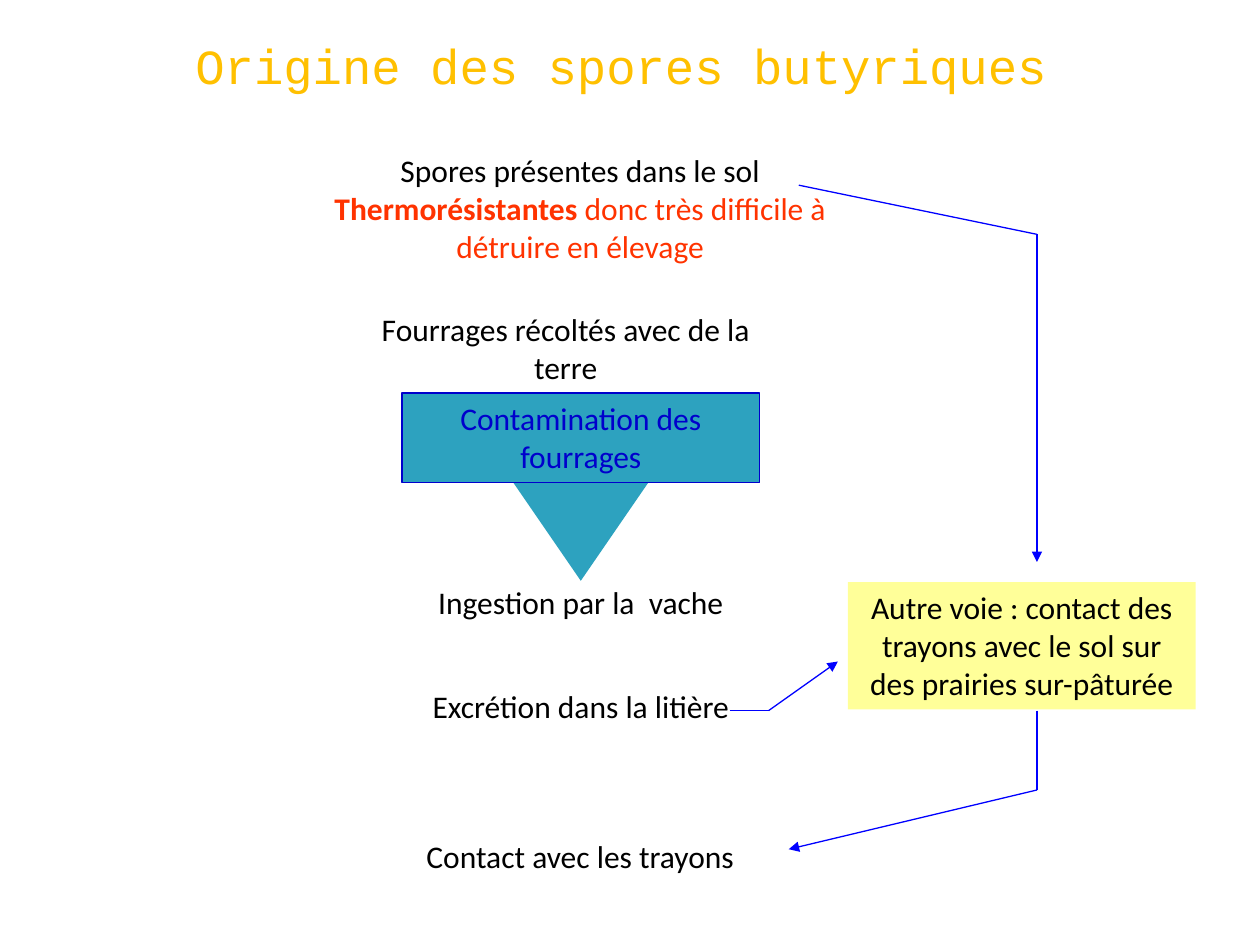
from lxml.etree import SubElement
from pptx import Presentation
from pptx.dml.color import RGBColor
from pptx.enum.shapes import MSO_CONNECTOR, MSO_SHAPE
from pptx.enum.text import MSO_ANCHOR, MSO_AUTO_SIZE, PP_ALIGN
from pptx.oxml.ns import qn
from pptx.util import Inches, Pt

BLACK = RGBColor(0x00, 0x00, 0x00)
GOLD = RGBColor(0xFF, 0xC0, 0x00)
RED = RGBColor(0xFF, 0x33, 0x00)
NAVY = RGBColor(0x00, 0x00, 0xCC)
BLUE = RGBColor(0x00, 0x00, 0xFF)
TEAL = RGBColor(0x2D, 0xA2, 0xBF)
YELLOW = RGBColor(0xFF, 0xFF, 0x99)

BYPASS_X = 8.23
LINE_WIDTH = Pt(0.75)


class SlideBuilder:
    """Draws elements on one slide in a shared style."""

    body = {"name": "Calibri", "size": Pt(18), "bold": False}
    heading = {"name": "Courier New", "size": Pt(28), "bold": False}

    def __init__(self, slide):
        self.slide = slide

    def set_text(self, shape, paragraphs, color, style, anchor, fit):
        """Fill a shape; each paragraph is a list of (text, font overrides)."""
        frame = shape.text_frame
        layout = {"word_wrap": True, "auto_size": fit, "vertical_anchor": anchor}
        for key, value in layout.items():
            setattr(frame, key, value)
        for index, runs in enumerate(paragraphs):
            paragraph = frame.add_paragraph() if index else frame.paragraphs[0]
            paragraph.alignment = PP_ALIGN.CENTER
            for text, overrides in runs:
                run = paragraph.add_run()
                run.text = text
                formats = {**style, "color": color, **overrides}
                run.font.color.rgb = formats.pop("color")
                for key, value in formats.items():
                    setattr(run.font, key, value)

    def title(self, box, text):
        shape = self.slide.shapes.add_textbox(*map(Inches, box))
        self.set_text(shape, [[(text, {})]], GOLD, self.heading,
                      MSO_ANCHOR.MIDDLE, MSO_AUTO_SIZE.NONE)

    def label(self, box, *paragraphs):
        shape = self.slide.shapes.add_textbox(*map(Inches, box))
        self.set_text(shape, paragraphs, BLACK, self.body,
                      MSO_ANCHOR.TOP, MSO_AUTO_SIZE.SHAPE_TO_FIT_TEXT)

    def block(self, kind, box, fill, outline=None):
        shape = self.slide.shapes.add_shape(kind, *map(Inches, box))
        shape.shadow.inherit = False
        shape.fill.solid()
        shape.fill.fore_color.rgb = fill
        if outline is None:
            shape.line.fill.background()
        else:
            shape.line.color.rgb = outline
            shape.line.width = LINE_WIDTH
        return shape

    def panel(self, box, text, fill, color, outline=None):
        shape = self.block(MSO_SHAPE.RECTANGLE, box, fill, outline)
        self.set_text(shape, [[(text, {})]], color, self.body,
                      MSO_ANCHOR.TOP, MSO_AUTO_SIZE.SHAPE_TO_FIT_TEXT)

    def down_arrow(self, box, fill):
        arrow = self.block(MSO_SHAPE.DOWN_ARROW, box, fill)
        arrow.adjustments[0] = 0.5
        arrow.adjustments[1] = 1.49

    def route(self, *points):
        """Join the points with lines, with an arrowhead at the last one."""
        for start, end in zip(points, points[1:]):
            connector = self.slide.shapes.add_connector(
                MSO_CONNECTOR.STRAIGHT, *map(Inches, start + end))
            connector.line.color.rgb = BLUE
            connector.line.width = LINE_WIDTH
            properties = connector._element.spPr
            if end == points[-1]:
                SubElement(properties.find(qn("a:ln")), qn("a:tailEnd"), type="triangle")
            SubElement(properties, qn("a:effectLst"))


def main():
    presentation = Presentation()
    presentation.slide_width = Inches(10)
    presentation.slide_height = Inches(7.5)
    builder = SlideBuilder(presentation.slides.add_slide(presentation.slide_layouts[6]))

    builder.down_arrow((4.06, 3.81, 1.1, 0.8), TEAL)
    builder.title((0.43, 0.13, 9, 0.77), "Origine des spores butyriques")
    builder.panel((3.19, 3.12, 2.84, 0.71), "Contamination des fourrages", TEAL, NAVY, NAVY)
    builder.label((2.48, 1.15, 4.25, 1.31),
                  [("Spores présentes dans le sol", {})],
                  [("Thermorésistantes", {"color": RED, "bold": True}),
                   (" donc très difficile à détruire en élevage", {"color": RED})])

    steps = [
        ((2.72, 2.41, 3.54, 0.71), "Fourrages récoltés avec de la terre"),
        ((3.19, 4.58, 2.84, 0.4), "Ingestion par la  vache"),
        ((3.19, 5.4, 2.84, 0.4), "Excrétion dans la litière"),
        ((2.32, 6.59, 4.57, 0.4), "Contact avec les trayons"),
    ]
    for box, text in steps:
        builder.label(box, [(text, {})])

    builder.panel((6.73, 4.62, 2.76, 1.01),
                  "Autre voie : contact des trayons avec le sol sur des prairies sur-pâturée",
                  YELLOW, BLACK)

    builder.route((6.34, 1.47), (BYPASS_X, 1.86), (BYPASS_X, 4.46))
    builder.route((BYPASS_X, 5.64), (BYPASS_X, 6.27), (6.26, 6.74))
    builder.route((5.79, 5.64), (6.1, 5.64), (6.65, 5.25))

    presentation.save("out.pptx")


if __name__ == "__main__":
    main()
